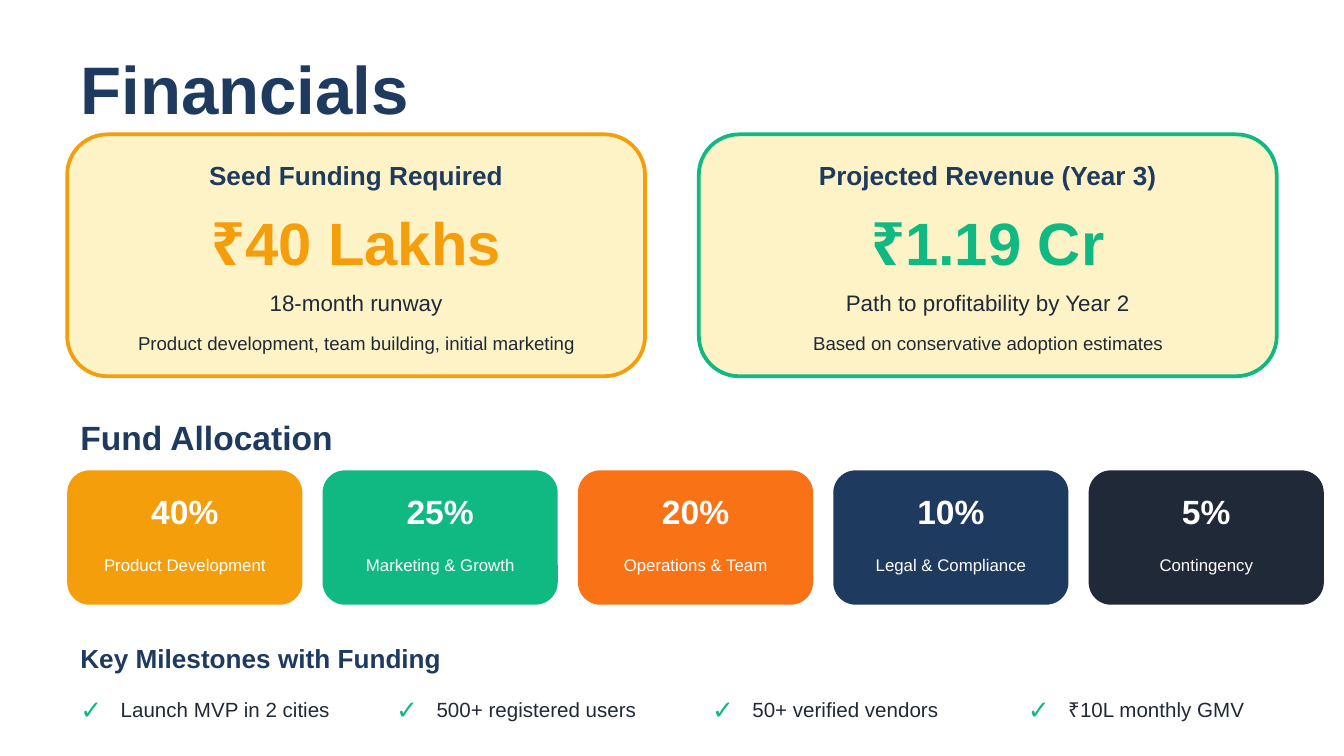
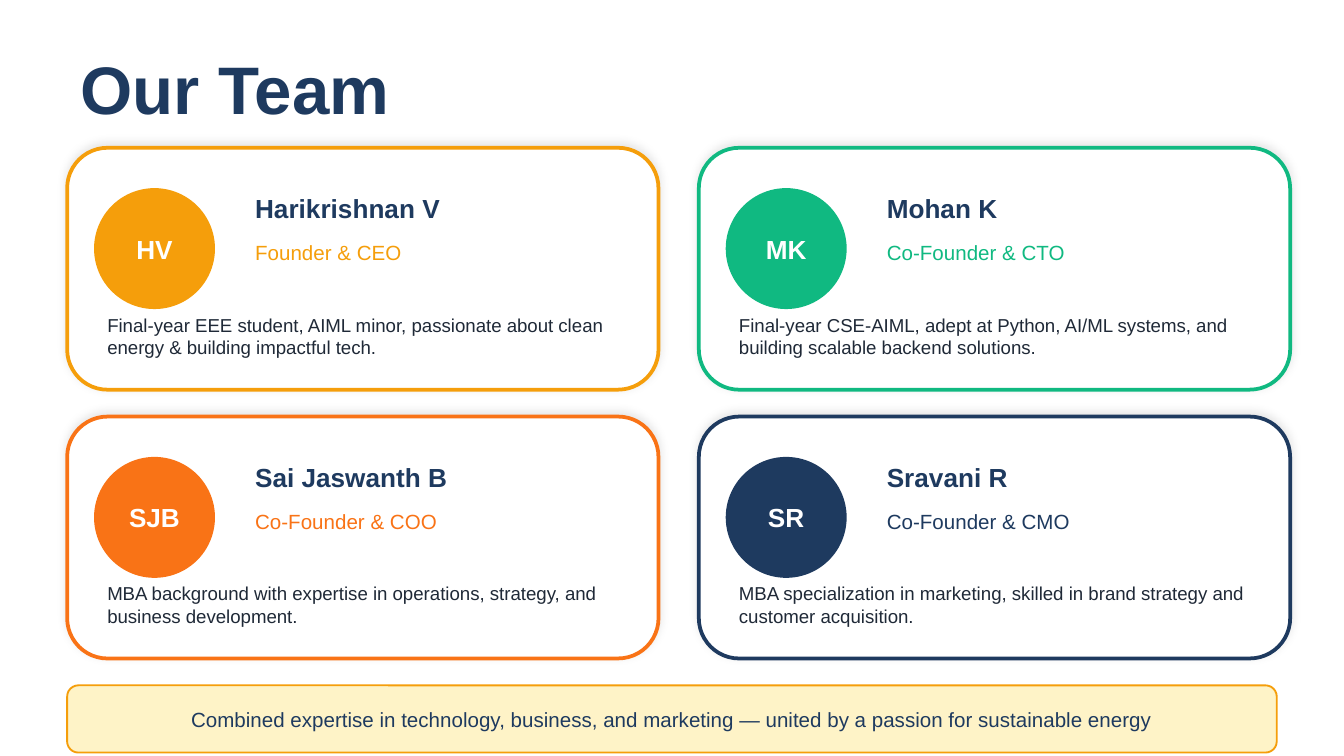
from lxml.etree import SubElement
from pptx import Presentation
from pptx.dml.color import RGBColor
from pptx.enum.shapes import MSO_SHAPE as Shape
from pptx.enum.text import MSO_ANCHOR as Anchor, MSO_AUTO_SIZE as AutoSize, PP_ALIGN as Align
from pptx.oxml.ns import qn
from pptx.util import Inches, Pt

COLORS = {
    "amber": "F59E0B",
    "green": "10B981",
    "orange": "F97316",
    "navy": "1E3A5F",
    "ink": "1F2937",
    "cream": "FEF3C7",
    "white": "FFFFFF",
    "black": "000000",
}
FONT = "Arial"
TITLE_ONLY = 5

# Every position and size counts cells of a square grid, 100 cells across the slide.
WIDTH = Inches(10)
HEIGHT = WIDTH * 9 // 16
CELL = WIDTH // 100
MARGIN = 5
CONTENT = 90
SECOND_COLUMN = 52

FUNDING = [
    ("Seed Funding Required", "₹40 Lakhs", "18-month runway",
     "Product development, team building, initial marketing", "amber"),
    ("Projected Revenue (Year 3)", "₹1.19 Cr", "Path to profitability by Year 2",
     "Based on conservative adoption estimates", "green"),
]
ALLOCATION = [
    ("40%", "Product Development", "amber"),
    ("25%", "Marketing & Growth", "green"),
    ("20%", "Operations & Team", "orange"),
    ("10%", "Legal & Compliance", "navy"),
    ("5%", "Contingency", "ink"),
]
MILESTONES = ["Launch MVP in 2 cities", "500+ registered users",
              "50+ verified vendors", "₹10L monthly GMV"]
TEAM = [
    ("HV", "Harikrishnan V", "Founder & CEO", "amber",
     "Final-year EEE student, AIML minor, passionate about clean energy "
     "& building impactful tech."),
    ("MK", "Mohan K", "Co-Founder & CTO", "green",
     "Final-year CSE-AIML, adept at Python, AI/ML systems, and building "
     "scalable backend solutions."),
    ("SJB", "Sai Jaswanth B", "Co-Founder & COO", "orange",
     "MBA background with expertise in operations, strategy, and "
     "business development."),
    ("SR", "Sravani R", "Co-Founder & CMO", "navy",
     "MBA specialization in marketing, skilled in brand strategy and "
     "customer acquisition."),
]
TEAM_MOTTO = ("Combined expertise in technology, business, and marketing — "
              "united by a passion for sustainable energy")


def rgb(name):
    return RGBColor.from_string(COLORS[name])


def cells(*counts):
    return [round(count * CELL) for count in counts]


def write(box, text, size, color, bold=False, align=Align.LEFT):
    frame = box.text_frame
    frame.word_wrap = True
    frame.auto_size = AutoSize.NONE
    frame.vertical_anchor = Anchor.MIDDLE
    para = frame.paragraphs[0]
    para.text = text
    para.alignment = align
    font = para.font
    font.name, font.size, font.bold = FONT, Pt(size), bold
    font.color.rgb = rgb(color)


def add_text(page, area, text, size, color="ink", **style):
    write(page.shapes.add_textbox(*cells(*area)), text, size, color, **style)


def add_centred(page, area, text, size, color="ink", bold=False):
    add_text(page, area, text, size, color, bold=bold, align=Align.CENTER)


def add_panel(page, area, fill, line=None, weight=2, kind=Shape.ROUNDED_RECTANGLE):
    panel = page.shapes.add_shape(kind, *cells(*area))
    panel.shadow.inherit = False
    panel.fill.solid()
    panel.fill.fore_color.rgb = rgb(fill)
    if line:
        panel.line.color.rgb = rgb(line)
        panel.line.width = Pt(weight)
    else:
        panel.line.fill.background()
    return panel


def add_soft_shadow(panel):
    """Cast a faint shadow upwards."""
    effects = panel._element.spPr.find(qn("a:effectLst"))
    shadow = SubElement(effects, qn("a:outerShdw"), blurRad=str(Pt(5)), dist=str(Pt(2)),
                        dir=str(270 * 60000), algn="bl", rotWithShape="0")
    color = SubElement(shadow, qn("a:srgbClr"), val=COLORS["black"])
    SubElement(color, qn("a:alpha"), val="10000")


def add_page(deck, title):
    page = deck.slides.add_slide(deck.slide_layouts[TITLE_ONLY])
    heading = page.shapes.title
    heading.left, heading.top, heading.width, heading.height = cells(MARGIN, 3, CONTENT, 7)
    write(heading, title, 36, "navy", bold=True)
    return page


def add_funding_card(page, left, label, amount, summary, detail, accent):
    width = 43
    add_panel(page, (left, 10, width, 18), "cream", accent)
    add_centred(page, (left, 11, width, 4), label, 14, "navy", bold=True)
    add_centred(page, (left, 15, width, 6), amount, 32, accent, bold=True)
    add_centred(page, (left, 21, width, 3), summary, 12)
    add_centred(page, (left + 1, 24, width - 2, 3), detail, 10)


def add_allocation_card(page, left, share, purpose, color):
    width = 17.5
    add_panel(page, (left, 35, width, 10), color)
    add_centred(page, (left, 36, width, 4), share, 18, "white", bold=True)
    add_centred(page, (left, 40, width, 4), purpose, 9, "white")


def add_milestone(page, left, text):
    add_text(page, (left, 51, 3, 3.5), "✓", 14, "green")
    add_text(page, (left + 3, 51, 20, 3.5), text, 11)


def add_member_card(page, left, top, initials, name, role, accent, profile):
    add_soft_shadow(add_panel(page, (left, top, 44, 18), "white", accent))
    inner = left + 2
    add_panel(page, (inner, top + 3, 9, 9), accent, kind=Shape.OVAL)
    add_centred(page, (inner, top + 5, 9, 5), initials, 14, "white", bold=True)
    add_text(page, (left + 13, top + 2.5, 29, 4), name, 14, "navy", bold=True)
    add_text(page, (left + 13, top + 6, 29, 3.5), role, 11, accent)
    add_text(page, (inner, top + 11, 40, 6), profile, 10)


def build_financials(deck):
    page = add_page(deck, "Financials")
    for left, card in zip((MARGIN, SECOND_COLUMN), FUNDING):
        add_funding_card(page, left, *card)
    add_text(page, (MARGIN, 30, CONTENT, 5), "Fund Allocation", 18, "navy", bold=True)
    for index, card in enumerate(ALLOCATION):
        add_allocation_card(page, MARGIN + index * 19, *card)
    add_text(page, (MARGIN, 47, CONTENT, 4), "Key Milestones with Funding", 14, "navy", bold=True)
    for index, text in enumerate(MILESTONES):
        add_milestone(page, MARGIN + index * 23.5, text)


def build_team(deck):
    page = add_page(deck, "Our Team")
    for index, member in enumerate(TEAM):
        row, column = divmod(index, 2)
        add_member_card(page, (MARGIN, SECOND_COLUMN)[column], 11 + row * 20, *member)
    add_panel(page, (MARGIN, 51, CONTENT, 5), "cream", "amber", weight=1)
    add_centred(page, (MARGIN + 2, 51.5, CONTENT - 4, 4), TEAM_MOTTO, 11, "navy")


def main():
    deck = Presentation()
    deck.slide_width, deck.slide_height = WIDTH, HEIGHT
    build_financials(deck)
    build_team(deck)
    deck.save("out.pptx")


if __name__ == "__main__":
    main()
